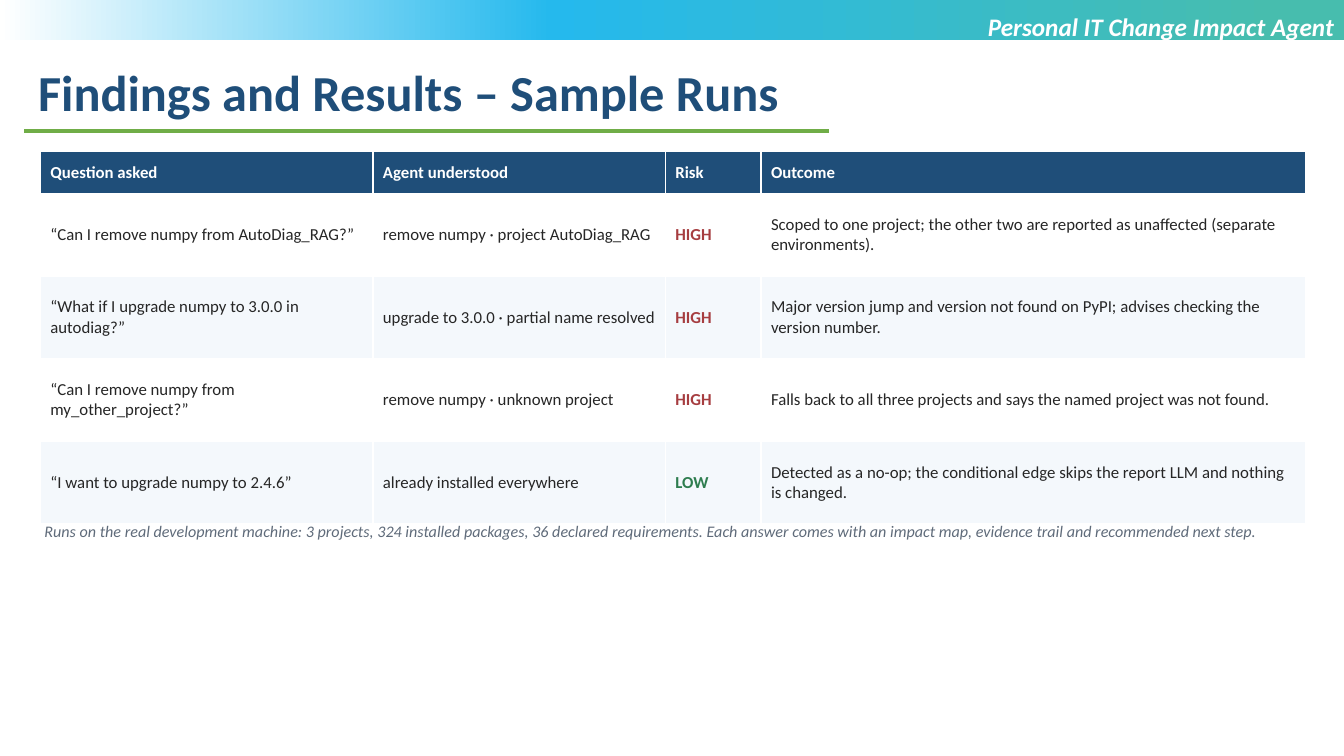
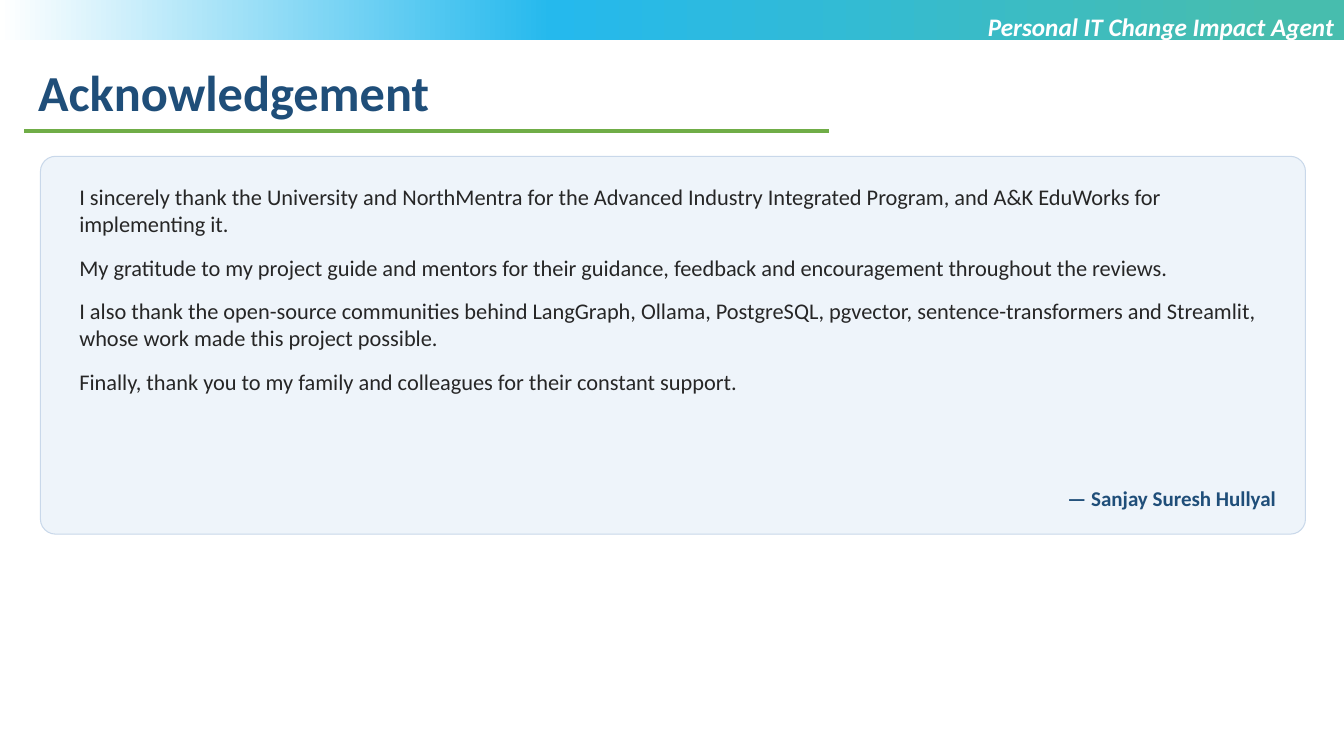
from lxml.etree import SubElement
from pptx import Presentation
from pptx.dml.color import RGBColor
from pptx.enum.shapes import MSO_CONNECTOR as Connector, MSO_SHAPE as Shape
from pptx.enum.text import MSO_ANCHOR as Anchor, MSO_AUTO_SIZE as AutoSize, PP_ALIGN as Align
from pptx.oxml.ns import qn
from pptx.util import Cm, Pt

COLOURS = {
    "navy": "1F4E79",
    "green": "70AD47",
    "teal": "47BDAE",
    "sky": "25B9ED",
    "white": "FFFFFF",
    "stripe": "F4F8FC",
    "card": "EEF4FA",
    "card_line": "C9D8EA",
    "ink": "262626",
    "grey": "5F6B7A",
    "high": "A63D40",
    "low": "2E7D4F",
}
FONT = "Calibri"
SLIDE_WIDTH, SLIDE_HEIGHT = 33.87, 19.05
CONTENT_LEFT, CONTENT_WIDTH = 1.02, 31.88
TAGLINE = "Personal IT Change Impact Agent"
BAND_STOPS = [(0, "white"), (41, "sky"), (95, "teal")]
DEFAULT_MARGINS = (0.25, 0.13)
TIGHT_MARGINS = (0.1, 0.05)

COLUMN_WIDTHS = [8.38, 7.37, 2.41, 13.72]
HEADER_HEIGHT, ROW_HEIGHT = 1.07, 2.08
HEADINGS = ["Question asked", "Agent understood", "Risk", "Outcome"]
RUNS = [
    ["“Can I remove numpy from AutoDiag_RAG?”",
     "remove numpy · project AutoDiag_RAG", "HIGH",
     "Scoped to one project; the other two are reported as unaffected (separate environments)."],
    ["“What if I upgrade numpy to 3.0.0 in autodiag?”",
     "upgrade to 3.0.0 · partial name resolved", "HIGH",
     "Major version jump and version not found on PyPI; advises checking the version number."],
    ["“Can I remove numpy from my_other_project?”",
     "remove numpy · unknown project", "HIGH",
     "Falls back to all three projects and says the named project was not found."],
    ["“I want to upgrade numpy to 2.4.6”",
     "already installed everywhere", "LOW",
     "Detected as a no-op; the conditional edge skips the report LLM and nothing is changed."],
]
RUNS_NOTE = (
    "Runs on the real development machine: 3 projects, 324 installed packages, "
    "36 declared requirements. Each answer comes with an impact map, evidence trail "
    "and recommended next step."
)
THANKS = [
    "I sincerely thank the University and NorthMentra for the Advanced Industry "
    "Integrated Program, and A&K EduWorks for implementing it.",
    "My gratitude to my project guide and mentors for their guidance, feedback and "
    "encouragement throughout the reviews.",
    "I also thank the open-source communities behind LangGraph, Ollama, PostgreSQL, "
    "pgvector, sentence-transformers and Streamlit, whose work made this project possible.",
    "Finally, thank you to my family and colleagues for their constant support.",
]
AUTHOR = "— Sanjay Suresh Hullyal"


def colour(name):
    """Return the named colour."""
    return RGBColor.from_string(COLOURS[name])


def paint(target, name):
    """Fill a shape or cell with one solid colour."""
    target.fill.solid()
    target.fill.fore_color.rgb = colour(name)


def write(frame, text, size=12, ink="ink", bold=False, italic=False,
          align=Align.LEFT, after=0, anchor=Anchor.TOP, margins=DEFAULT_MARGINS):
    """Write one string, or a list of paragraphs, into a text frame."""
    frame.word_wrap = True
    frame.vertical_anchor = anchor
    frame.margin_left = frame.margin_right = Cm(margins[0])
    frame.margin_top = frame.margin_bottom = Cm(margins[1])
    lines = [text] if isinstance(text, str) else text
    for index, line in enumerate(lines):
        paragraph = frame.add_paragraph() if index else frame.paragraphs[0]
        paragraph.alignment = align
        paragraph.space_after = Pt(after)
        run = paragraph.add_run()
        run.text = line
        font = run.font
        font.name, font.size = FONT, Pt(size)
        font.bold, font.italic = bold, italic
        font.color.rgb = colour(ink)


def add_text(slide, text, left, top, width, height, **text_format):
    """Add a text box."""
    box = slide.shapes.add_textbox(Cm(left), Cm(top), Cm(width), Cm(height))
    write(box.text_frame, text, **text_format)


def add_band(slide):
    """Add the gradient band across the top."""
    band = slide.shapes.add_shape(Shape.RECTANGLE, 0, 0, Cm(SLIDE_WIDTH), Cm(1.02))
    band.shadow.inherit = False
    band.line.fill.background()
    band.fill.gradient()
    band.fill.gradient_angle = 0
    stop_list = next(band.element.iter(qn("a:gsLst")))
    for stop in list(stop_list):
        stop_list.remove(stop)
    for position, name in BAND_STOPS:
        stop = SubElement(stop_list, qn("a:gs"), pos=str(position * 1000))
        SubElement(stop, qn("a:srgbClr"), val=COLOURS[name])


def add_rule(slide):
    """Add the green line under the title."""
    rule = slide.shapes.add_connector(Connector.STRAIGHT, Cm(0.61), Cm(3.3), Cm(20.9), Cm(3.3))
    rule.line.color.rgb = colour("green")
    rule.line.width = Pt(2.25)
    SubElement(rule.element.spPr, qn("a:effectLst"))


def add_titled_slide(presentation, title_text):
    """Add a slide with the shared band, title, rule and tagline."""
    slide = presentation.slides.add_slide(presentation.slide_layouts.get_by_name("Title Only"))
    add_band(slide)
    title = slide.shapes.title
    title.left, title.top, title.width, title.height = Cm(0.71), Cm(1.4), Cm(29.51), Cm(1.8)
    title.text_frame.auto_size = AutoSize.NONE
    write(title.text_frame, title_text, size=36, ink="navy", bold=True)
    add_rule(slide)
    add_text(slide, TAGLINE, 16.92, 0.15, 16.95, 1.8, size=18, ink="white",
             bold=True, italic=True, align=Align.RIGHT)
    return slide


def add_runs_table(slide, left, top):
    """Add the table of sample runs."""
    rows = [HEADINGS, *RUNS]
    heights = [HEADER_HEIGHT] + [ROW_HEIGHT] * len(RUNS)
    table = slide.shapes.add_table(len(rows), len(HEADINGS), Cm(left), Cm(top),
                                   Cm(sum(COLUMN_WIDTHS)), Cm(sum(heights))).table
    for column, width in zip(table.columns, COLUMN_WIDTHS):
        column.width = Cm(width)
    for row_index, (values, height) in enumerate(zip(rows, heights)):
        table.rows[row_index].height = Cm(height)
        is_header = row_index == 0
        fill = "navy" if is_header else "white" if row_index % 2 else "stripe"
        for column_index, value in enumerate(values):
            cell = table.cell(row_index, column_index)
            paint(cell, fill)
            is_risk = value in ("HIGH", "LOW")
            ink = "white" if is_header else value.lower() if is_risk else "ink"
            write(cell.text_frame, value, ink=ink, bold=is_header or is_risk)
            cell.vertical_anchor = Anchor.MIDDLE
            cell.margin_left = cell.margin_right = Cm(0.25)
            cell.margin_top = cell.margin_bottom = Cm(0.1)


def add_card(slide, left, top, width, height):
    """Add a pale rounded panel."""
    card = slide.shapes.add_shape(Shape.ROUNDED_RECTANGLE, Cm(left), Cm(top), Cm(width), Cm(height))
    card.adjustments[0] = 0.04
    card.shadow.inherit = False
    paint(card, "card")
    card.line.color.rgb = colour("card_line")
    card.line.width = Pt(0.75)


def build_findings(presentation):
    """Build the slide of sample runs."""
    slide = add_titled_slide(presentation, "Findings and Results – Sample Runs")
    add_runs_table(slide, CONTENT_LEFT, 3.81)
    add_text(slide, RUNS_NOTE, CONTENT_LEFT, 13.08, 31.75, 1.14, size=11.5, ink="grey",
             italic=True, margins=TIGHT_MARGINS)


def build_acknowledgement(presentation):
    """Build the slide of thanks."""
    slide = add_titled_slide(presentation, "Acknowledgement")
    add_card(slide, CONTENT_LEFT, 3.94, CONTENT_WIDTH, 9.52)
    add_text(slide, THANKS, 1.9, 4.57, 30.1, 7.62, size=16, after=12, margins=TIGHT_MARGINS)
    add_text(slide, AUTHOR, 19.05, 12.19, 13.21, 1.02, size=15, ink="navy", bold=True,
             align=Align.RIGHT, margins=TIGHT_MARGINS)


def main():
    """Build and save the presentation."""
    presentation = Presentation()
    presentation.slide_width, presentation.slide_height = Cm(SLIDE_WIDTH), Cm(SLIDE_HEIGHT)
    build_findings(presentation)
    build_acknowledgement(presentation)
    presentation.save("out.pptx")


if __name__ == "__main__":
    main()
